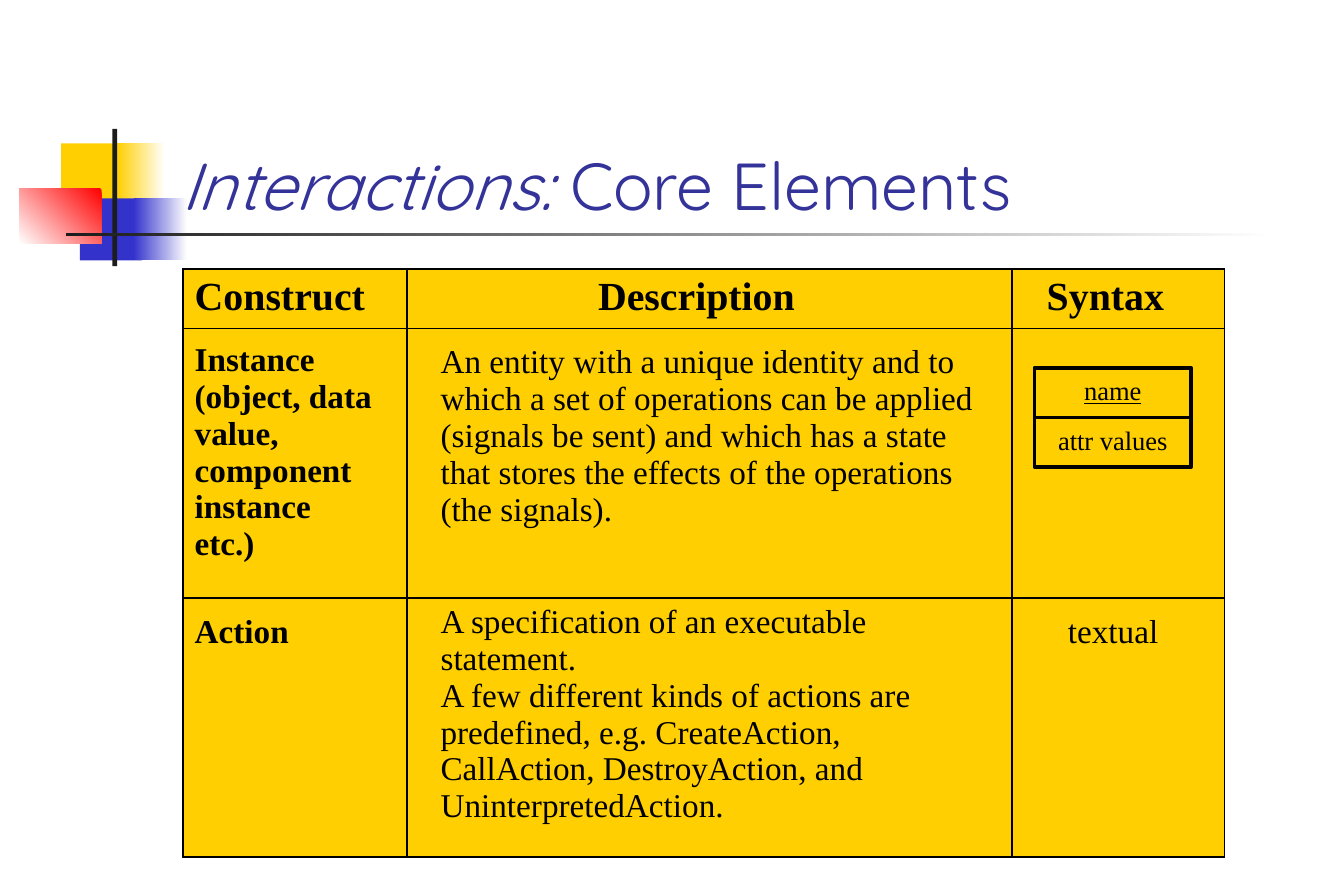
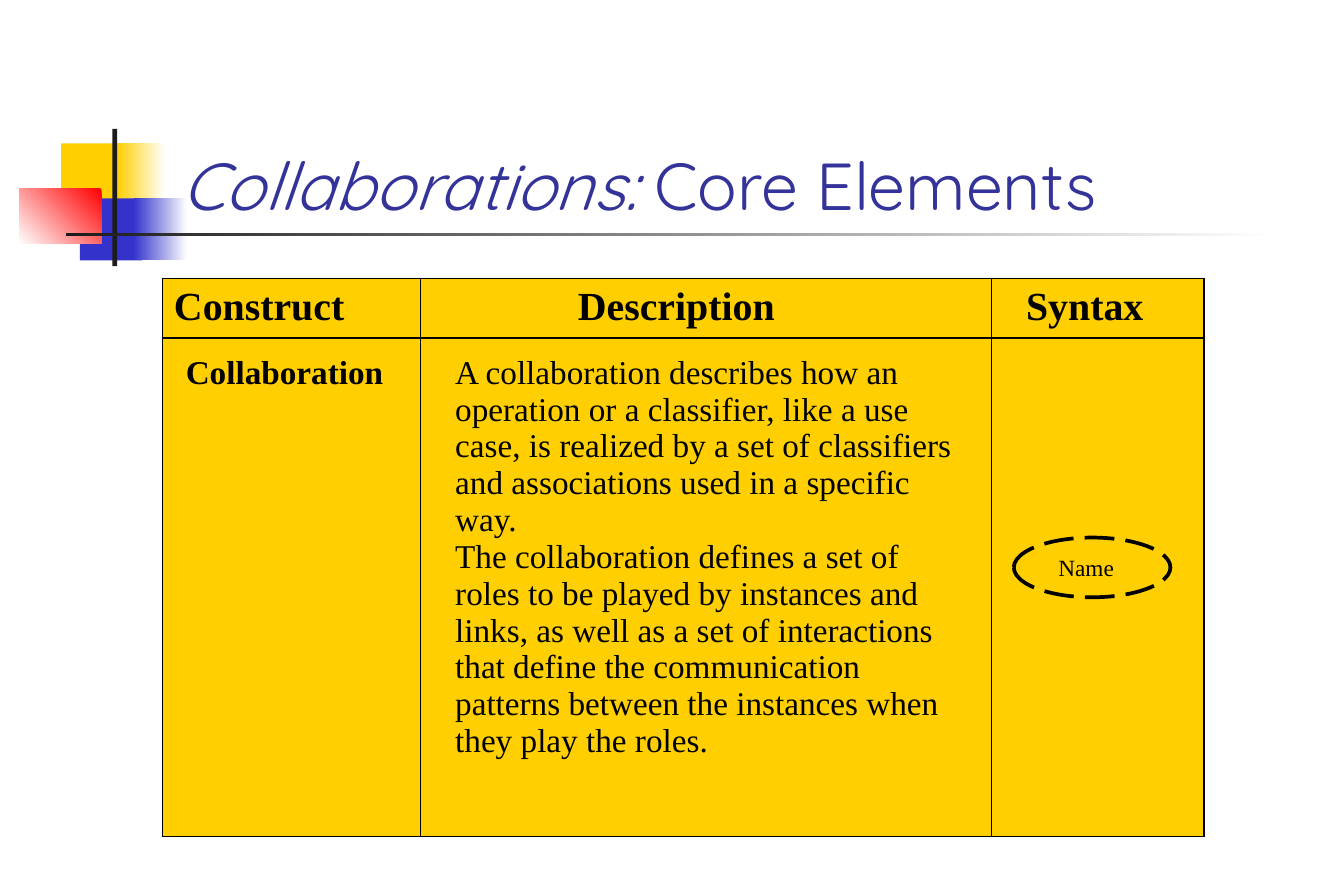
import pptx
import pptx.util
import pptx.dml.color
import pptx.enum.dml
import pptx.enum.shapes
import pptx.enum.text
import pptx.oxml.ns
from lxml import etree

Cm = pptx.util.Cm
Pt = pptx.util.Pt
RGBColor = pptx.dml.color.RGBColor
Shape = pptx.enum.shapes.MSO_SHAPE
Align = pptx.enum.text.PP_ALIGN
Anchor = pptx.enum.text.MSO_ANCHOR

BLACK = RGBColor(0x00, 0x00, 0x00)
WHITE = RGBColor(0xFF, 0xFF, 0xFF)
YELLOW = RGBColor(0xFF, 0xCF, 0x01)
BLUE = RGBColor(0x33, 0x33, 0xCC)
RED = RGBColor(0xFF, 0x00, 0x00)
CHARCOAL = RGBColor(0x1C, 0x1C, 0x1C)
TITLE_BLUE = RGBColor(0x33, 0x33, 0x99)

TITLE_FONT = "Quicksand"
BODY_FONT = "Times New Roman"
INSET_X, INSET_Y = 0.25, 0.13
HEADER_HEIGHT = 1.27

# left, top, width, height, first colour, last colour, gradient angle
ORNAMENTS = [
    (1.3, 3.05, 1.37, 1.32, YELLOW, None, 0),
    (2.49, 3.05, 1.02, 1.32, YELLOW, WHITE, 0),
    (1.7, 4.22, 1.32, 1.32, BLUE, None, 0),
    (2.84, 4.22, 1.14, 1.32, BLUE, WHITE, 0),
    (0.41, 4.01, 1.75, 1.17, RED, WHITE, 225),
    (2.39, 2.74, 0.1, 2.92, CHARCOAL, None, 0),
    (1.4, 4.95, 25.7, 0.08, CHARCOAL, WHITE, 0),
]


def cm_box(*lengths):
    return [Cm(length) for length in lengths]


def write(frame, texts, size, bold=False, underline=False, align=Align.LEFT):
    for index, text in enumerate(texts):
        paragraph = frame.paragraphs[0] if index == 0 else frame.add_paragraph()
        paragraph.text = text
        paragraph.alignment = align
        font = paragraph.font
        font.name, font.size = BODY_FONT, Pt(size)
        font.bold, font.underline = bold, underline
        font.color.rgb = BLACK


def set_margins(target, left=INSET_X, top=INSET_Y, right=INSET_X, bottom=0):
    target.margin_left, target.margin_top = Cm(left), Cm(top)
    target.margin_right, target.margin_bottom = Cm(right), Cm(bottom)


def add_outline(slide, kind, box):
    """Unfilled shape with the heavy line of the notation symbols."""
    shape = slide.shapes.add_shape(kind, *cm_box(*box))
    shape.shadow.inherit = False
    shape.fill.background()
    shape.line.color.rgb = BLACK
    shape.line.width = Pt(2.25)
    return shape


def add_ornaments(slide):
    for *box, first, last, angle in ORNAMENTS:
        shape = slide.shapes.add_shape(Shape.RECTANGLE, *cm_box(*box))
        shape.shadow.inherit = False
        shape.line.fill.background()
        if last is None:
            shape.fill.solid()
            shape.fill.fore_color.rgb = first
        else:
            shape.fill.gradient()
            shape.fill.gradient_angle = angle
            for stop, colour in zip(shape.fill.gradient_stops, (first, last)):
                stop.color.rgb = colour


def add_title(slide, topic):
    frame = slide.shapes.add_textbox(*cm_box(3.61, 1.7, 24.36, 3.18)).text_frame
    frame.word_wrap = True
    frame.vertical_anchor = Anchor.BOTTOM
    set_margins(frame, bottom=INSET_Y)
    paragraph = frame.paragraphs[0]
    for text, italic in ((topic + ":", True), (" Core Elements", False)):
        run = paragraph.add_run()
        run.text = text
        run.font.italic = italic
    paragraph.font.name = TITLE_FONT
    paragraph.font.size = Pt(40)
    paragraph.font.color.rgb = TITLE_BLUE
    for run in paragraph.runs:
        run.font.name = TITLE_FONT
        run.font.size = Pt(40)
        run.font.color.rgb = TITLE_BLUE


def add_borders(cell):
    properties = cell._tc.get_or_add_tcPr()
    for side in ("lnL", "lnR", "lnT", "lnB"):
        line = etree.SubElement(properties, pptx.oxml.ns.qn("a:" + side), w=str(Pt(1)))
        fill = etree.SubElement(line, pptx.oxml.ns.qn("a:solidFill"))
        etree.SubElement(fill, pptx.oxml.ns.qn("a:srgbClr"), val=str(BLACK))


def add_construct_table(slide, left, top, widths, heading_indent, rows):
    """Each row is its height and its cells; a cell is texts and margins."""
    header = (HEADER_HEIGHT, [
        (["Construct"], {}),
        (["Description"], {"left": heading_indent}),
        (["Syntax"], {"left": 0.74}),
    ])
    rows = [header] + rows
    height = sum(row_height for row_height, _ in rows)
    table = slide.shapes.add_table(
        len(rows), len(widths), *cm_box(left, top, sum(widths), height)).table
    table.first_row = table.horz_banding = False
    for column, width in zip(table.columns, widths):
        column.width = Cm(width)
    for row_index, (row_height, cells) in enumerate(rows):
        table.rows[row_index].height = Cm(row_height)
        for column_index, (texts, margins) in enumerate(cells):
            cell = table.cell(row_index, column_index)
            add_borders(cell)
            cell.fill.solid()
            cell.fill.fore_color.rgb = YELLOW
            cell.vertical_anchor = Anchor.TOP
            set_margins(cell, **margins)
            is_header = row_index == 0
            write(cell.text_frame, texts, 24 if is_header else 20,
                  bold=is_header or column_index == 0)


def add_instance_symbol(slide, left, top, width, height):
    outline = add_outline(slide, Shape.RECTANGLE, (left, top, width, height))
    divider = slide.shapes.add_connector(
        pptx.enum.shapes.MSO_CONNECTOR.STRAIGHT, 0, 0, 0, 0)
    divider.begin_connect(outline, 1)
    divider.end_connect(outline, 3)
    divider.line.color.rgb = BLACK
    divider.line.width = Pt(2.25)
    etree.SubElement(divider._element.spPr, pptx.oxml.ns.qn("a:effectLst"))
    half = height / 2
    for index, label in enumerate(("name", "attr values")):
        frame = slide.shapes.add_textbox(
            *cm_box(left, top + index * half, width, half)).text_frame
        frame.word_wrap = True
        set_margins(frame)
        write(frame, [label], 16, underline=index == 0, align=Align.CENTER)


def add_collaboration_symbol(slide, left, top, width, height):
    ellipse = add_outline(slide, Shape.OVAL, (left, top, width, height))
    ellipse.line.dash_style = pptx.enum.dml.MSO_LINE.LONG_DASH
    frame = ellipse.text_frame
    frame.word_wrap = True
    frame.vertical_anchor = Anchor.MIDDLE
    set_margins(frame, left=0, top=0, right=0.25)
    write(frame, ["Name"], 14, align=Align.CENTER)


def add_slide(presentation, topic):
    slide = presentation.slides.add_slide(presentation.slide_layouts[6])
    add_ornaments(slide)
    add_title(slide, topic)
    return slide


def build_interactions(presentation):
    slide = add_slide(presentation, "Interactions")
    rows = [
        (5.72, [
            (["Instance (object, data value, component instance etc.)"],
             {"top": 0.28, "right": 0.69}),
            (["An entity with a unique identity and to which a set of operations "
              "can be applied (signals be sent) and which has a state that stores "
              "the effects of the operations (the signals)."],
             {"left": 0.71, "top": 0.33, "right": 0.23}),
            ([""], {}),
        ]),
        (5.51, [
            (["Action"], {"top": 0.33}),
            (["A specification of an executable statement.",
              "A few different kinds of actions are predefined, e.g. CreateAction, "
              "CallAction, DestroyAction, and UninterpretedAction."],
             {"left": 0.71, "right": 0.5}),
            (["textual"], {"left": 1.19, "top": 0.33}),
        ]),
    ]
    add_construct_table(slide, 3.89, 5.72, (4.77, 12.86, 4.52), 4.06, rows)
    add_instance_symbol(slide, 22, 7.82, 3.33, 2.11)


def build_collaborations(presentation):
    slide = add_slide(presentation, "Collaborations")
    rows = [
        (10.59, [
            (["Collaboration"], {"left": 0.5, "top": 0.35}),
            (["A collaboration describes how an operation or a classifier, like a "
              "use case, is realized by a set of classifiers and associations used "
              "in a specific way.",
              "The collaboration defines a set of roles to be played by instances "
              "and links, as well as a set of interactions that define the "
              "communication patterns between the instances when they play the "
              "roles."],
             {"left": 0.74, "top": 0.35, "right": 0.7}),
            ([""], {}),
        ]),
    ]
    add_construct_table(slide, 3.45, 5.92, (5.49, 12.14, 4.52), 3.35, rows)
    add_collaboration_symbol(slide, 21.56, 11.43, 3.33, 1.27)


def main():
    presentation = pptx.Presentation()
    presentation.slide_width, presentation.slide_height = cm_box(28.58, 19.05)
    build_interactions(presentation)
    build_collaborations(presentation)
    presentation.save("out.pptx")


if __name__ == "__main__":
    main()
